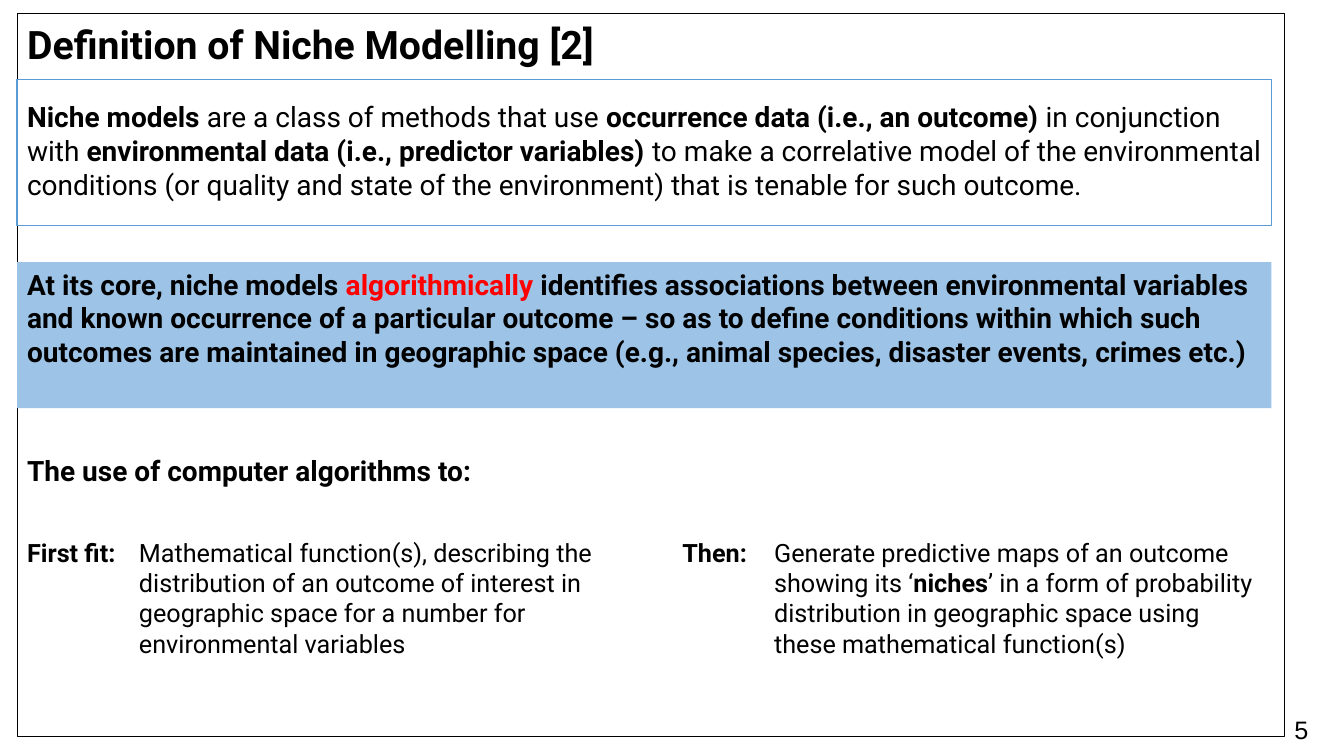
from pptx import Presentation
from pptx.dml.color import RGBColor
from pptx.enum.shapes import MSO_SHAPE as SHAPE
from pptx.enum.text import MSO_ANCHOR as ANCHOR, PP_ALIGN as ALIGN
from pptx.util import Inches, Pt

BLACK = RGBColor(0x00, 0x00, 0x00)
RED = RGBColor(0xFF, 0x00, 0x00)
BLUE = RGBColor(0x5B, 0x9B, 0xD5)
LIGHT_BLUE = RGBColor(0x9D, 0xC3, 0xE6)

LEFT, WIDTH = 0.17, 12.44
COLUMN_TOP = 5.28


def write(sp, runs, size, font="Roboto", anchor=ANCHOR.TOP):
    """Fill a shape with one paragraph of (text, bold[, colour]) runs."""
    tf = sp.text_frame
    tf.word_wrap = True
    tf.vertical_anchor = anchor
    tf.margin_left = tf.margin_right = Inches(0.1)
    tf.margin_top = tf.margin_bottom = Inches(0.05)
    p = tf.paragraphs[0]
    p.alignment = ALIGN.LEFT
    for text, bold, *colour in runs:
        r = p.add_run()
        r.text = text
        r.font.name = font
        r.font.size = Pt(size)
        r.font.bold = bold
        r.font.color.rgb = colour[0] if colour else BLACK


def add_title(s, text):
    sp = s.shapes.title
    sp.left, sp.top = Inches(LEFT), Inches(0.13)
    sp.width, sp.height = Inches(WIDTH), Inches(0.61)
    write(sp, [(text, True)], 28, anchor=ANCHOR.MIDDLE)


def add_box(s, top, width, height, fill=None, line=None, weight=1):
    sp = s.shapes.add_shape(SHAPE.RECTANGLE, Inches(LEFT), Inches(top),
                            Inches(width), Inches(height))
    sp.shadow.inherit = False
    if fill:
        sp.fill.solid()
        sp.fill.fore_color.rgb = fill
    else:
        sp.fill.background()
    if line:
        sp.line.color.rgb = line
        sp.line.width = Pt(weight)
    else:
        sp.line.fill.background()
    return sp


def add_text(s, left, top, width, height, runs, size=18, font="Roboto"):
    sp = s.shapes.add_textbox(Inches(left), Inches(top),
                              Inches(width), Inches(height))
    write(sp, runs, size, font)


def add_step(s, left, label, text_left, width, runs):
    """Place a bold label with its explanation to the right."""
    add_text(s, left, COLUMN_TOP, text_left - left, 0.4, [(label, True)])
    add_text(s, text_left, COLUMN_TOP, width, 1.31, runs)


def main():
    prs = Presentation()
    prs.slide_width, prs.slide_height = Inches(13.33), Inches(7.5)
    s = prs.slides.add_slide(prs.slide_layouts[5])

    add_title(s, "Definition of Niche Modelling [2]")
    add_box(s, 0.13, 12.57, 7.18, line=BLACK, weight=0.75)

    definition = add_box(s, 0.79, WIDTH, 1.45, line=BLUE)
    write(definition, [
        ("Niche models ", True),
        ("are a class of methods that use ", False),
        ("occurrence data (i.e., an outcome)", True),
        (" in conjunction with ", False),
        ("environmental data (i.e., predictor variables) ", True),
        ("to make a correlative model of the environmental conditions "
         "(or quality and state of the environment) that is tenable for "
         "such outcome.", False),
    ], 20)
    definition.text_frame.margin_top = Inches(0.2)
    definition.text_frame.margin_right = Inches(0.05)

    core = add_box(s, 2.6, WIDTH, 1.45, fill=LIGHT_BLUE)
    write(core, [
        ("At its core, niche models ", True),
        ("algorithmically", True, RED),
        (" identifies associations between environmental variables and known "
         "occurrence of a particular outcome – so as to define conditions "
         "within which such outcomes are maintained in geographic space "
         "(e.g., animal species, disaster events, crimes etc.)", True),
    ], 20)

    add_text(s, LEFT, 4.45, 4.9, 0.44,
             [("The use of computer algorithms to:", True)], 20)
    add_step(s, LEFT, "First fit:", 1.28, 4.85, [
        ("Mathematical function(s), describing the distribution of an outcome "
         "of interest in geographic space for a number for environmental "
         "variables", False),
    ])
    add_step(s, 6.67, "Then:", 7.58, 5.03, [
        ("Generate predictive maps of an outcome showing its ‘", False),
        ("niches", True),
        ("’ in a form of probability distribution in geographic space using "
         "these mathematical function(s)", False),
    ])
    add_text(s, 12.74, 7.04, 0.59, 0.4, [("5", False)], font="Arial")

    prs.save("out.pptx")


if __name__ == "__main__":
    main()
